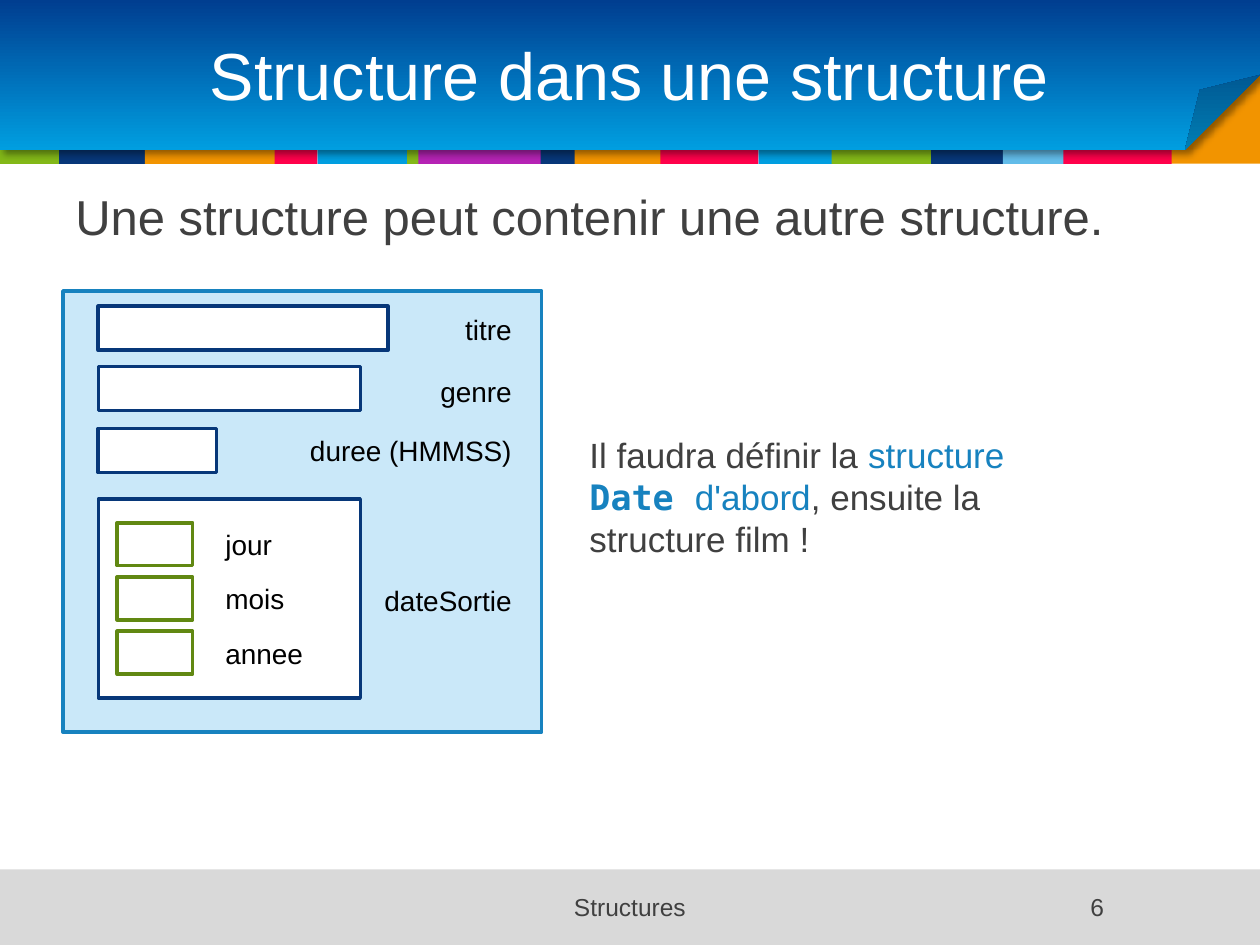
"""Build the slide showing a structure nested in another structure."""
from dataclasses import dataclass, replace
from typing import Optional

from lxml import etree
from pptx import Presentation
from pptx.dml.color import RGBColor
from pptx.enum.shapes import MSO_SHAPE
from pptx.enum.text import MSO_ANCHOR, PP_ALIGN
from pptx.oxml.ns import qn
from pptx.util import Inches, Pt

RECTANGLE = MSO_SHAPE.RECTANGLE
FOLDED_CORNER = MSO_SHAPE.FOLDED_CORNER
TOP, MIDDLE = MSO_ANCHOR.TOP, MSO_ANCHOR.MIDDLE
LEFT, CENTER, RIGHT = PP_ALIGN.LEFT, PP_ALIGN.CENTER, PP_ALIGN.RIGHT

COLUMNS, ROWS = 100, 75
SLIDE_WIDTH, SLIDE_HEIGHT = Inches(10), Inches(7.5)
COLORS = {
    "green": "83B818", "orange": "F29400", "navy": "073779", "red": "FF014B",
    "cyan": "009EE0", "purple": "B523B4", "sky": "62BCE9", "deep": "003E90",
    "gray": "D9D9D9", "text": "404040", "black": "000000", "white": "FFFFFF",
    "pale": "CAE8F9", "blue": "1782BF", "olive": "618812",
}


@dataclass(frozen=True)
class Area:
    """A rectangle measured in grid columns and rows."""
    column: float
    row: float
    width: float
    height: float


@dataclass(frozen=True)
class Box:
    """A filled rectangle with an optional outline."""
    area: Area
    fill: str
    line: Optional[str] = None


@dataclass(frozen=True)
class Run:
    """A piece of text in one format."""
    text: str
    color: str = "text"
    font: str = "Arial"
    bold: bool = False


@dataclass(frozen=True)
class Label:
    """A paragraph of text in an area."""
    area: Area
    runs: tuple[Run, ...]
    size: float
    align: PP_ALIGN = LEFT
    anchor: MSO_ANCHOR = TOP
    fill: Optional[str] = None
    space_before: float = 0


@dataclass(frozen=True)
class Stripe:
    """A coloured section of the band under the title."""
    column: float
    width: float
    color: str


STRIPES = (
    Stripe(29.7, 5.1, "green"), Stripe(0, 5.1, "green"), Stripe(4.7, 6.9, "navy"),
    Stripe(11.5, 11, "orange"), Stripe(21.8, 3.4, "red"), Stripe(25.2, 7.1, "cyan"),
    Stripe(33.2, 10.1, "purple"), Stripe(42.9, 2.8, "navy"), Stripe(45.6, 7.1, "orange"),
    Stripe(52.4, 7.8, "red"), Stripe(60.2, 6.1, "cyan"), Stripe(66, 9.1, "green"),
    Stripe(73.9, 5.8, "navy"), Stripe(79.6, 5, "sky"), Stripe(84.4, 8.6, "red"),
)
FILM_FIELDS = (
    (Area(7.8, 24.3, 23, 3.5), Area(33, 24.3, 8.6, 3.7), "titre"),
    (Area(7.8, 29.1, 20.8, 3.5), Area(33, 29.2, 8.6, 3.7), "genre"),
    (Area(7.8, 34, 9.4, 3.5), Area(23, 33.9, 18.6, 3.7), "duree (HMMSS)"),
    (Area(7.8, 39.6, 20.8, 15.8), Area(29.2, 45.8, 12.4, 3.7), "dateSortie"),
)
DATE_FIELDS = ("jour", "mois", "annee")
DATE_ROW, DATE_PITCH = 41.5, 4.3
TEXTS = (
    Label(Area(5, 0.7, 90, 10.3), (Run("Structure dans une structure", "white"),),
          38, CENTER, MIDDLE),
    Label(Area(5, 14.3, 90, 52.7),
          (Run("Une structure peut contenir une autre structure."),), 28, space_before=4),
    Label(Area(25.6, 70.3, 48.8, 3.7), (Run("Structures"),), 14, CENTER),
    Label(Area(76.8, 70.3, 11.8, 3.7), (Run("6"),), 14, RIGHT),
    Label(Area(45.8, 33.9, 38, 11.1), (
        Run("Il faudra définir la "), Run("structure ", "blue"),
        Run("Date ", "blue", "DejaVu Sans Mono", True), Run("d'abord", "blue"),
        Run(", ensuite la structure film !")), 20),
)


def rgb(name: str) -> RGBColor:
    """Return a named colour."""
    return RGBColor.from_string(COLORS[name])


def place(area: Area) -> tuple[int, int, int, int]:
    """Convert a grid area to slide lengths."""
    cell_width, cell_height = SLIDE_WIDTH / COLUMNS, SLIDE_HEIGHT / ROWS
    return (round(area.column * cell_width), round(area.row * cell_height),
            round(area.width * cell_width), round(area.height * cell_height))


def draw_box(slide, box: Box, preset=RECTANGLE):
    """Draw a filled shape without a shadow."""
    shape = slide.shapes.add_shape(preset, *place(box.area))
    shape.shadow.inherit = False
    shape.fill.solid()
    shape.fill.fore_color.rgb = rgb(box.fill)
    if box.line:
        shape.line.color.rgb = rgb(box.line)
        shape.line.width = Pt(2)
    else:
        shape.line.fill.background()
    return shape


def draw_label(slide, label: Label) -> None:
    """Draw a text box with formatted runs."""
    shape = slide.shapes.add_textbox(*place(label.area))
    if label.fill:
        shape.fill.solid()
        shape.fill.fore_color.rgb = rgb(label.fill)
    text_frame = shape.text_frame
    text_frame.word_wrap = True
    text_frame.vertical_anchor = label.anchor
    paragraph = text_frame.paragraphs[0]
    paragraph.alignment = label.align
    paragraph.space_before = Pt(label.space_before)
    for item in label.runs:
        run = paragraph.add_run()
        run.text = item.text
        run.font.name = item.font
        run.font.size = Pt(label.size)
        run.font.bold = item.bold
        run.font.color.rgb = rgb(item.color)


def draw_banner(slide) -> None:
    """Draw the striped band and the folded title banner."""
    draw_box(slide, Box(Area(92.1, 4.7, 7.9, 8.3), "orange"))
    for stripe in STRIPES:
        draw_box(slide, Box(Area(stripe.column, 8.1, stripe.width, 4.9), stripe.color))
    banner = draw_box(slide, Box(Area(0, 0, COLUMNS, 11.9), "cyan"), FOLDED_CORNER)
    properties = banner.element.spPr
    geometry = properties.find(qn("a:prstGeom"))
    guides = geometry.find(qn("a:avLst"))
    if guides is None:
        guides = etree.SubElement(geometry, qn("a:avLst"))
    etree.SubElement(guides, qn("a:gd"), name="adj", fmla="val 50000")
    banner.fill.gradient()
    banner.fill.gradient_angle = 270
    for stop, color in zip(banner.fill.gradient_stops, ("deep", "cyan")):
        stop.color.rgb = rgb(color)
    effects = properties.find(qn("a:effectLst"))
    shadow = etree.SubElement(effects, qn("a:outerShdw"), blurRad=str(Pt(4)),
                              dist=str(Pt(3)), dir="2700000", rotWithShape="0")
    color = etree.SubElement(shadow, qn("a:srgbClr"), val=COLORS["black"])
    etree.SubElement(color, qn("a:alpha"), val="40000")


def draw_film(slide) -> None:
    """Draw the film structure and the date nested in it."""
    draw_box(slide, Box(Area(5, 23.1, 38, 35), "pale", "blue"))
    for field, caption, name in FILM_FIELDS:
        draw_label(slide, Label(caption, (Run(name, "black"),), 16, RIGHT, fill="pale"))
        draw_box(slide, Box(field, "white", "navy"))
    for index, name in enumerate(DATE_FIELDS):
        field = Area(9.3, DATE_ROW + index * DATE_PITCH, 6, 3.4)
        caption = replace(field, column=16.9, row=field.row - 0.1, width=8.9, height=3.7)
        draw_box(slide, Box(field, "white", "olive"))
        draw_label(slide, Label(caption, (Run(name, "black"),), 16))


def main() -> None:
    """Build and save the presentation."""
    presentation = Presentation()
    presentation.slide_width, presentation.slide_height = SLIDE_WIDTH, SLIDE_HEIGHT
    slide = presentation.slides.add_slide(presentation.slide_layouts[6])
    draw_banner(slide)
    draw_box(slide, Box(Area(0, 69, COLUMNS, 6), "gray"))
    draw_film(slide)
    for label in TEXTS:
        draw_label(slide, label)
    presentation.save("out.pptx")


if __name__ == "__main__":
    main()
